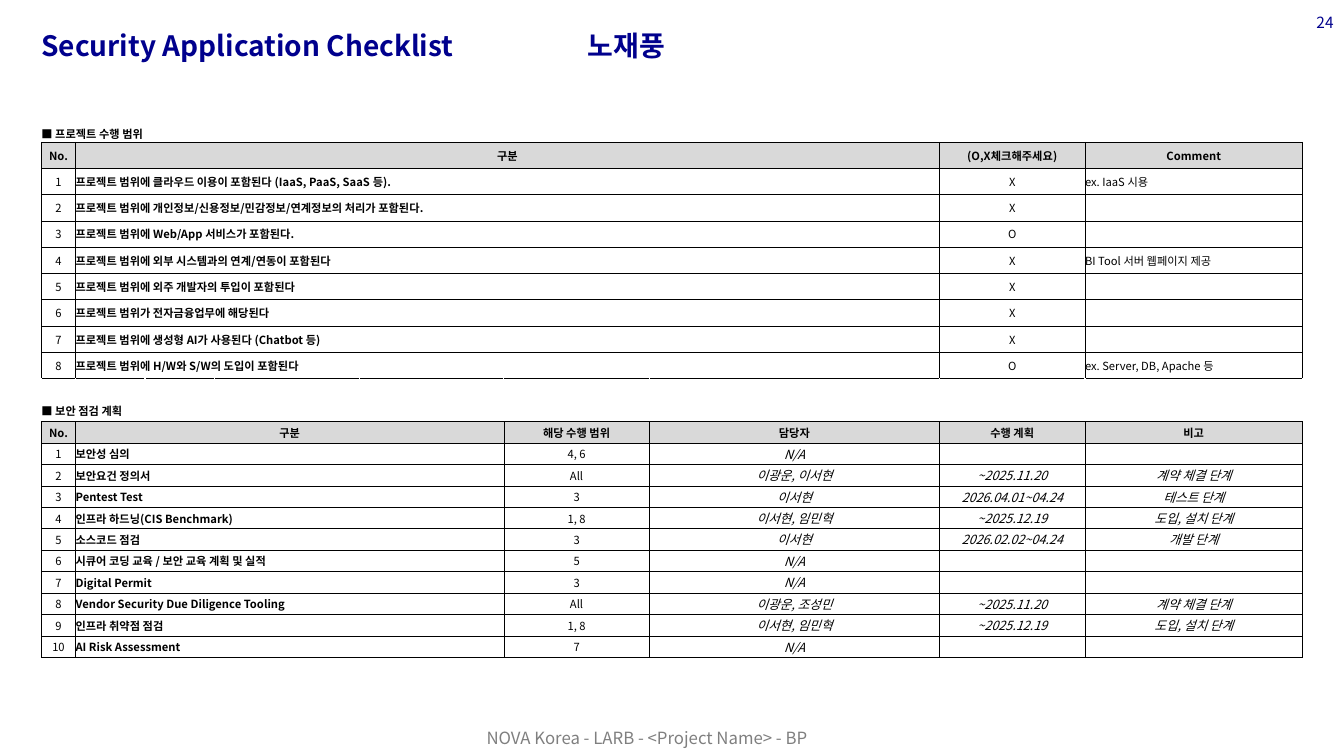
from lxml.etree import SubElement
from pptx import Presentation
from pptx.dml.color import RGBColor
from pptx.enum.text import MSO_ANCHOR as Anchor, PP_ALIGN as Align
from pptx.oxml.ns import qn
from pptx.util import Pt

FONT = "Noto Sans CJK KR"
BLACK, NAVY, GRAY, HEADER_FILL = "000000", "00008D", "7F7F7F", "D9D9D9"
COLUMNS = [24.4, 49.6, 49.6, 103.4, 103.4, 104, 207.2, 104, 155.4]
SECTION_HEIGHT, SCOPE_HEIGHT, PLAN_HEIGHT = 12.2, 18.77, 15.36
SCOPE_SPANS = [(0, 0), (1, 6), (7, 7), (8, 8)]
PLAN_SPANS = [(0, 0), (1, 4), (5, 5), (6, 6), (7, 7), (8, 8)]

SCOPE_HEADER = ["No.", "구분", "(O,X체크해주세요)", "Comment"]
SCOPE = [
    ("프로젝트 범위에 클라우드 이용이 포함된다 (IaaS, PaaS, SaaS 등).", "X", "ex. IaaS 시용"),
    ("프로젝트 범위에 개인정보/신용정보/민감정보/연계정보의 처리가 포함된다.", "X", ""),
    ("프로젝트 범위에 Web/App 서비스가 포함된다.", "O", ""),
    ("프로젝트 범위에 외부 시스템과의 연계/연동이 포함된다", "X", "BI Tool 서버 웹페이지 제공"),
    ("프로젝트 범위에 외주 개발자의 투입이 포함된다", "X", ""),
    ("프로젝트 범위가 전자금융업무에 해당된다", "X", ""),
    ("프로젝트 범위에 생성형 AI가 사용된다 (Chatbot 등)", "X", ""),
    ("프로젝트 범위에 H/W와 S/W의 도입이 포함된다", "O", "ex. Server, DB, Apache 등"),
]
PLAN_HEADER = ["No.", "구분", "해당 수행 범위", "담당자", "수행 계획", "비고"]
PLAN = [
    ("보안성 심의", "4, 6", "N/A", "", ""),
    ("보안요건 정의서", "All", "이광운, 이서현", "~2025.11.20", "계약 체결 단계"),
    ("Pentest Test", "3", "이서현", "2026.04.01~04.24", "테스트 단계"),
    ("인프라 하드닝(CIS Benchmark)", "1, 8", "이서현, 임민혁", "~2025.12.19", "도입, 설치 단계"),
    ("소스코드 점검", "3", "이서현", "2026.02.02~04.24", "개발 단계"),
    ("시큐어 코딩 교육 / 보안 교육 계획 및 실적", "5", "N/A", "", ""),
    ("Digital Permit", "3", "N/A", "", ""),
    ("Vendor Security Due Diligence Tooling", "All", "이광운, 조성민", "~2025.11.20", "계약 체결 단계"),
    ("인프라 취약점 점검", "1, 8", "이서현, 임민혁", "~2025.12.19", "도입, 설치 단계"),
    ("AI Risk Assessment", "7", "N/A", "", ""),
]


def color(value):
    return RGBColor.from_string(value)


def style_text(para, text, size, tint, align=Align.LEFT, bold=False, italic=False):
    para.text = text
    para.alignment = align
    for span in para.runs:
        span.font.name = FONT
        span.font.size = Pt(size)
        span.font.color.rgb = color(tint)
        span.font.bold = bold
        span.font.italic = italic


def add_label(page, bounds, text, size, tint, align=Align.LEFT, anchor=Anchor.TOP,
              bold=False, wrap=True):
    box = page.shapes.add_textbox(*map(Pt, bounds))
    frame = box.text_frame
    frame.margin_left = frame.margin_right = frame.margin_top = frame.margin_bottom = 0
    frame.word_wrap = wrap
    frame.vertical_anchor = anchor
    style_text(frame.paragraphs[0], text, size, tint, align, bold)
    return frame.paragraphs[0]


def add_title(page, left, width, text):
    para = add_label(page, (left, 23, width, 26), text, 20, NAVY, bold=True)
    para.line_spacing = 0.9


def add_borders(cell, sides):
    properties = cell._tc.get_or_add_tcPr()
    for side in sides:
        line = SubElement(properties, qn(f"a:ln{side}"), w=str(Pt(0.5)))
        fill = SubElement(line, qn("a:solidFill"))
        SubElement(fill, qn("a:srgbClr"), val=BLACK)


def prepare_cell(cell, sides):
    cell.margin_left = cell.margin_right = cell.margin_top = cell.margin_bottom = 0
    cell.vertical_anchor = Anchor.MIDDLE
    add_borders(cell, sides)
    cell.fill.background()
    SubElement(cell.text_frame.paragraphs[0]._p, qn("a:endParaRPr"), sz="800")


def fill_cell(cell, text, size=8, **style):
    if text:
        style_text(cell.text_frame.paragraphs[0], text, size, BLACK, **style)


def fill_section(table, top, title, header, entries, spans):
    table.cell(top, 0).merge(table.cell(top, 2))
    fill_cell(table.cell(top, 0), title, bold=True)
    numbered = [(str(number), *entry) for number, entry in enumerate(entries, 1)]
    for row, values in enumerate([header, *numbered], top + 1):
        for field, ((first, last), text) in enumerate(zip(spans, values)):
            cell = table.cell(row, first)
            if last > first:
                cell.merge(table.cell(row, last))
            if values is header:
                cell.fill.solid()
                cell.fill.fore_color.rgb = color(HEADER_FILL)
                fill_cell(cell, text, align=Align.CENTER, bold=True)
            elif field == 1:
                fill_cell(cell, text, bold=True)
            elif spans is SCOPE_SPANS and field == 3:
                fill_cell(cell, text)
            elif field >= 3:
                fill_cell(cell, text, 9, align=Align.CENTER, italic=True)
            else:
                fill_cell(cell, text, align=Align.CENTER)


def add_checklist(page):
    scope_rows, plan_rows = len(SCOPE) + 1, len(PLAN) + 1
    gap_row = scope_rows + 1
    plan_top = gap_row + 1
    heights = [SECTION_HEIGHT] + [SCOPE_HEIGHT] * scope_rows + [PLAN_HEIGHT] * (plan_rows + 2)
    table = page.shapes.add_table(len(heights), len(COLUMNS), Pt(29.6), Pt(89.3),
                                  Pt(sum(COLUMNS)), Pt(sum(heights))).table
    table.first_row = table.horz_banding = False
    for column, width in zip(table.columns, COLUMNS):
        column.width = Pt(width)
    open_sides = {0: "B", gap_row: "T", plan_top: "B"}
    for index, (row, height) in enumerate(zip(table.rows, heights)):
        row.height = Pt(height)
        for cell in row.cells:
            prepare_cell(cell, open_sides.get(index, "LRTB"))
    fill_section(table, 0, "■ 프로젝트 수행 범위", SCOPE_HEADER, SCOPE, SCOPE_SPANS)
    fill_section(table, plan_top, "■ 보안 점검 계획", PLAN_HEADER, PLAN, PLAN_SPANS)


def main():
    deck = Presentation()
    deck.slide_width, deck.slide_height = Pt(960), Pt(540)
    page = deck.slides.add_slide(deck.slide_layouts[6])
    add_label(page, (345.6, 519.8, 233.3, 14.4), "NOVA Korea - LARB - <Project Name> - BP",
              12, GRAY, Align.CENTER, Anchor.MIDDLE, wrap=False)
    add_title(page, 29.5, 901.4, "Security Application Checklist")
    add_label(page, (939.6, 9.4, 13.7, 13.7), "24", 11, NAVY,
              Align.CENTER, Anchor.MIDDLE, wrap=False)
    add_checklist(page)
    add_title(page, 419.8, 272.9, "노재풍")
    deck.save("out.pptx")


if __name__ == "__main__":
    main()
